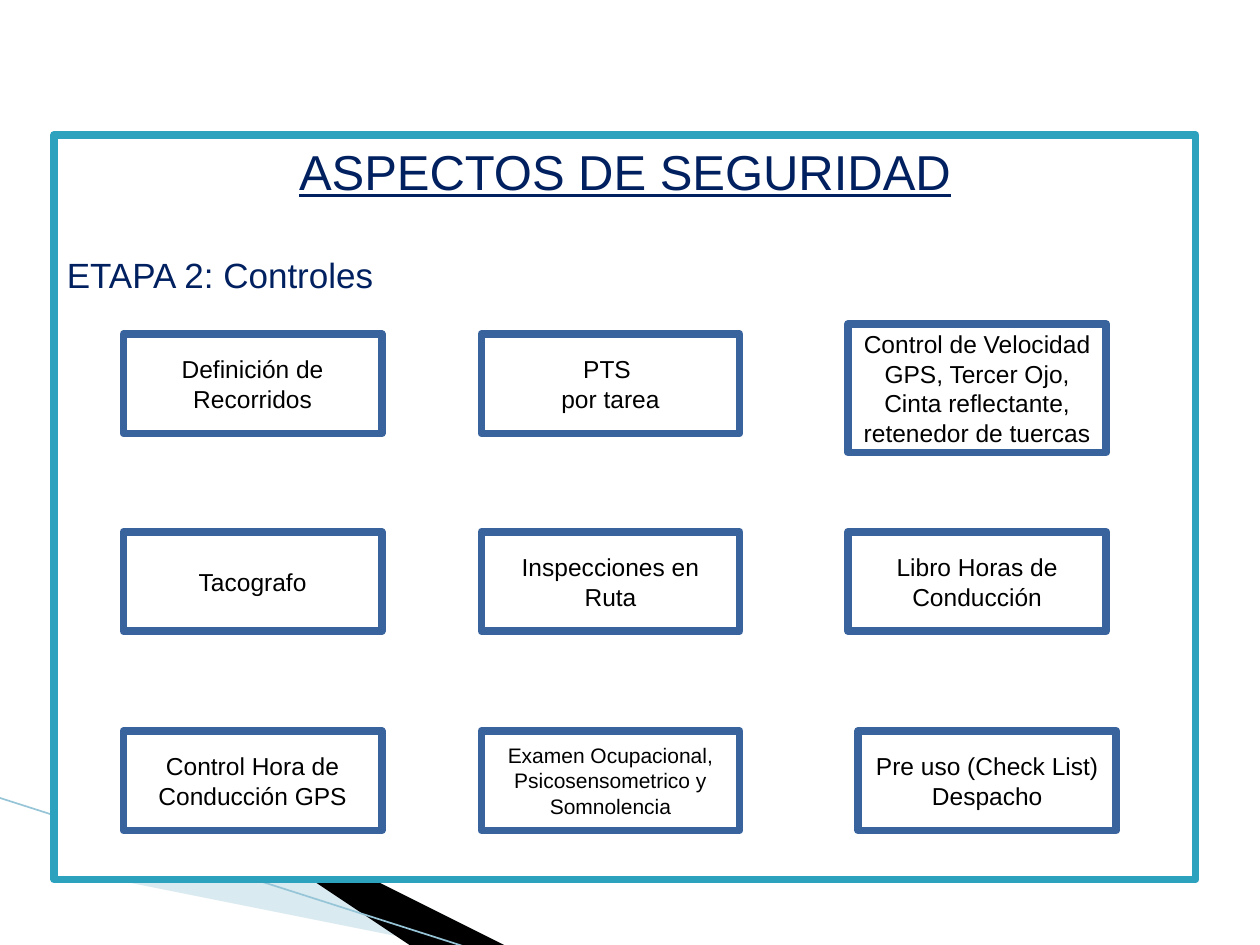
from lxml import etree
from pptx import Presentation
from pptx.dml.color import RGBColor
from pptx.enum import shapes, text
from pptx.oxml.ns import qn
from pptx.util import Inches, Pt

COLORS = {
    "white": "FFFFFF", "black": "000000", "navy": "002060",
    "teal": "2DA2BF", "blue": "39639D", "pale": "A0CBDC", "line": "97C5D8",
}
ALIGN = text.PP_ALIGN
ANCHOR = text.MSO_ANCHOR


class SlideBuilder:
    font = "Arial"
    border = 4.33

    def __init__(self, slide):
        self.slide = slide
        self.shapes = slide.shapes

    def color(self, name):
        return RGBColor.from_string(COLORS[name])

    def fill(self, sp, name):
        sp.fill.solid()
        sp.fill.fore_color.rgb = self.color(name)

    def set_text(self, sp, content, size, color, align, anchor, underline=None):
        tf = sp.text_frame
        tf.text = content
        tf.word_wrap = True
        tf.auto_size = text.MSO_AUTO_SIZE.NONE
        tf.vertical_anchor = anchor
        for p in tf.paragraphs:
            p.alignment = align
            p.space_before = Pt(0)
            for r in p.runs:
                r.font.name = self.font
                r.font.size = Pt(size)
                r.font.color.rgb = self.color(color)
                r.font.underline = underline

    def box(self, x, y, w, h, border):
        sp = self.shapes.add_shape(shapes.MSO_SHAPE.RECTANGLE,
                                   Inches(x), Inches(y), Inches(w), Inches(h))
        sp.shadow.inherit = False
        self.fill(sp, "white")
        sp.line.color.rgb = self.color(border)
        sp.line.width = Pt(self.border)
        etree.SubElement(sp._element.spPr.find(qn("a:ln")), qn("a:round"))
        return sp

    def wedge(self, points, color, alpha=None):
        (x, y), *rest = points
        builder = self.shapes.build_freeform(x, y, scale=Inches(1))
        builder.add_line_segments(rest, close=True)
        sp = builder.convert_to_shape()
        sp.shadow.inherit = False
        self.fill(sp, color)
        sp.line.fill.background()
        if alpha:
            clr = sp._element.spPr.find(".//" + qn("a:srgbClr"))
            etree.SubElement(clr, qn("a:alpha"), val=str(alpha * 1000))

    def line(self, x1, y1, x2, y2, color, width):
        cn = self.shapes.add_connector(shapes.MSO_CONNECTOR.STRAIGHT, Inches(x1),
                                       Inches(y1), Inches(x2), Inches(y2))
        cn.line.color.rgb = self.color(color)
        cn.line.width = Pt(width)
        etree.SubElement(cn._element.spPr, qn("a:effectLst"))

    def heading(self, index, content, x, y, w, h, size, align, underline=None):
        sp = self.slide.placeholders[index]
        sp.left, sp.top, sp.width, sp.height = map(Inches, (x, y, w, h))
        self.set_text(sp, content, size, "navy", align, ANCHOR.TOP, underline)
        for p in sp.text_frame.paragraphs:
            pPr = p._p.get_or_add_pPr()
            pPr.set("marL", "0")
            pPr.set("indent", "0")
            etree.SubElement(pPr, qn("a:buNone"))
        # Bring the heading in front of the frame
        self.shapes._spTree.append(sp._element)


def main():
    prs = Presentation()
    prs.slide_width, prs.slide_height = Inches(10), Inches(7.5)
    s = SlideBuilder(prs.slides.add_slide(prs.slide_layouts[1]))

    # Corner decoration
    s.wedge([(0.55, 6.51), (5.95, 7.51), (4.56, 7.51), (0.55, 6.5)], "pale", 40)
    s.wedge([(0.53, 6.49), (4.57, 7.51), (3.72, 7.52), (0.54, 6.5)], "black")
    s.line(-0.01, 6.33, 3.71, 7.52, "line", 0.95)

    # Frame and headings
    left, top, width = 0.43, 1.07, 9.06
    s.box(left, top, width, 5.91, "teal")
    s.heading(0, "ASPECTOS DE SEGURIDAD", left, top, width, 0.55, 28,
              ALIGN.CENTER, True)
    s.heading(1, "ETAPA 2: Controles", left, 1.96, width, 0.45, 20, ALIGN.JUSTIFY)

    # Grid of controls
    columns, rows = (0.98, 3.82, 6.73), (2.65, 4.22, 5.8)
    box_w, box_h = 2.05, 0.79
    controls = [
        ["Definición de Recorridos", "PTS \npor tarea",
         "Control de Velocidad GPS, Tercer Ojo, Cinta reflectante, retenedor de tuercas"],
        ["Tacografo", "Inspecciones en Ruta", "Libro Horas de Conducción"],
        ["Control Hora de Conducción GPS",
         "Examen Ocupacional, Psicosensometrico y Somnolencia",
         "Pre uso (Check List) Despacho"],
    ]
    # Boxes that depart from the grid, by row and column
    places = {(0, 2): (6.73, 2.57, box_w, 1.02), (2, 2): (6.81, 5.8, box_w, box_h)}
    sizes = {(2, 1): 12}
    for i, y in enumerate(rows):
        for j, x in enumerate(columns):
            sp = s.box(*places.get((i, j), (x, y, box_w, box_h)), "blue")
            s.set_text(sp, controls[i][j], sizes.get((i, j), 14), "black",
                       ALIGN.CENTER, ANCHOR.MIDDLE)

    prs.save("out.pptx")


if __name__ == "__main__":
    main()
